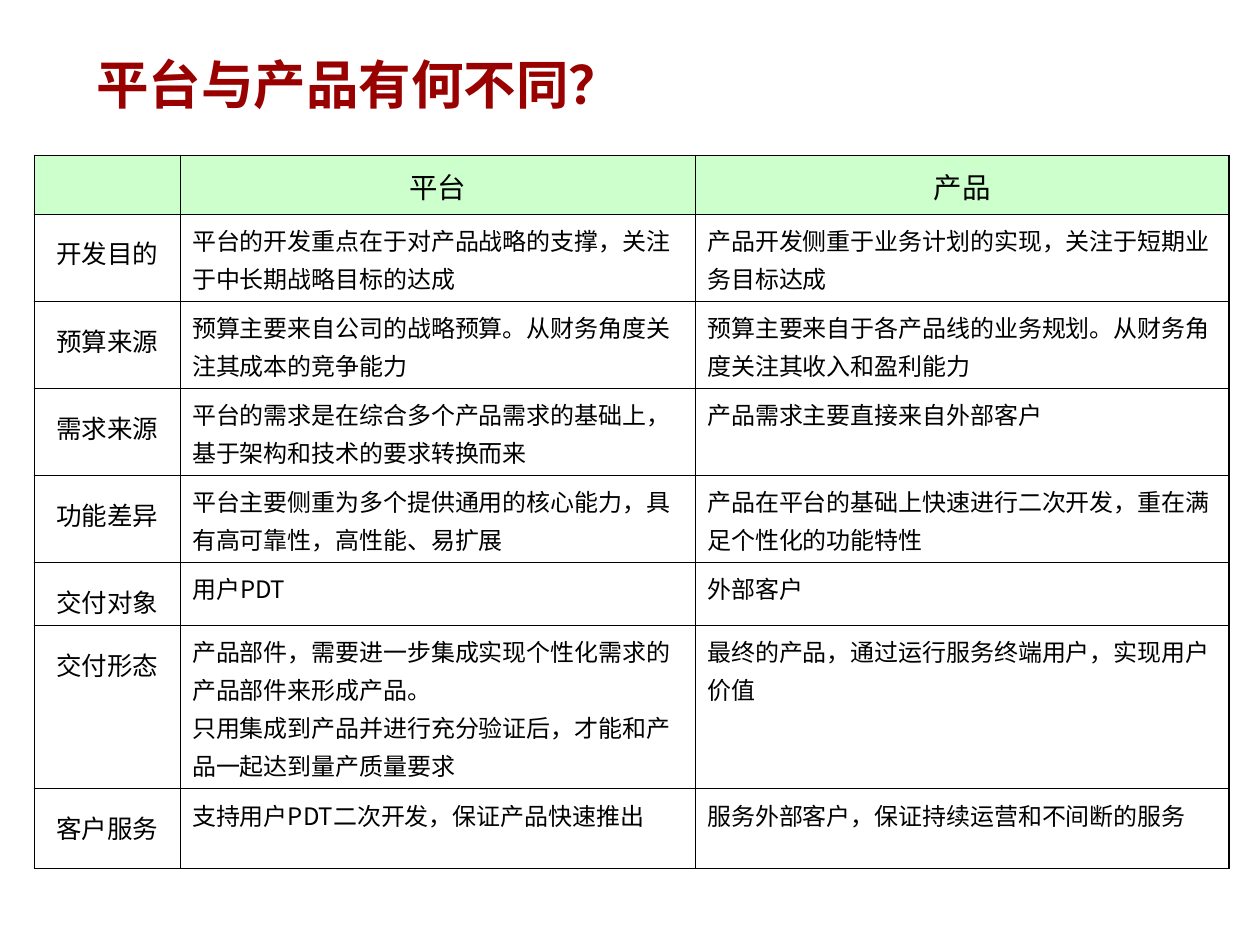
from lxml import etree
from pptx import Presentation
from pptx.dml.color import RGBColor
from pptx.enum.text import MSO_ANCHOR, MSO_AUTO_SIZE, PP_ALIGN
from pptx.oxml.ns import qn
from pptx.util import Cm, Pt

COLORS = {"title": "990000", "header": "CCFFCC", "ink": "000000"}
CJK_FONT = "Noto Sans CJK SC"
THIN, THICK = 0.45, 1.08

COLUMN_WIDTHS = [3.43, 12.12, 12.55]
ROW_HEIGHTS = [1.37, 1.9, 1.88, 1.88, 1.88, 1.37, 3.68, 1.88]
COMPARISON = [
    ("", "平台", "产品"),
    ("开发目的",
     "平台的开发重点在于对产品战略的支撑，关注于中长期战略目标的达成",
     "产品开发侧重于业务计划的实现，关注于短期业务目标达成"),
    ("预算来源",
     "预算主要来自公司的战略预算。从财务角度关注其成本的竞争能力",
     "预算主要来自于各产品线的业务规划。从财务角度关注其收入和盈利能力"),
    ("需求来源",
     "平台的需求是在综合多个产品需求的基础上，基于架构和技术的要求转换而来",
     "产品需求主要直接来自外部客户"),
    ("功能差异",
     "平台主要侧重为多个提供通用的核心能力，具有高可靠性，高性能、易扩展",
     "产品在平台的基础上快速进行二次开发，重在满足个性化的功能特性"),
    ("交付对象", "用户PDT", "外部客户"),
    ("交付形态",
     "产品部件，需要进一步集成实现个性化需求的产品部件来形成产品。\n"
     "只用集成到产品并进行充分验证后，才能和产品一起达到量产质量要求",
     "最终的产品，通过运行服务终端用户，实现用户价值"),
    ("客户服务",
     "支持用户PDT二次开发，保证产品快速推出",
     "服务外部客户，保证持续运营和不间断的服务"),
]


def write_text(frame, text, *, size, font=CJK_FONT, color="ink", bold=False,
               align=PP_ALIGN.LEFT, spacing=1.0):
    frame.text = text
    for paragraph in frame.paragraphs:
        paragraph.alignment = align
        paragraph.line_spacing = spacing
        for run in paragraph.runs:
            run.font.size = Pt(size)
            run.font.bold = bold
            run.font.name = font
            run.font.color.rgb = RGBColor.from_string(COLORS[color])
            east_asian = etree.SubElement(run.font._element, qn("a:ea"))
            east_asian.set("typeface", CJK_FONT)


def set_borders(cell, **widths):
    """Draw the cell edges; widths maps L, R, T and B to points."""
    properties = cell._tc.get_or_add_tcPr()
    for position, side in enumerate("LRTB"):
        line = etree.Element(qn(f"a:ln{side}"), w=str(Pt(widths[side])))
        fill = etree.SubElement(line, qn("a:solidFill"))
        etree.SubElement(fill, qn("a:srgbClr"), val=COLORS["ink"])
        properties.insert(position, line)


def cell_format(row, column):
    if row == 0:
        return {"size": 19, "align": PP_ALIGN.CENTER, "spacing": 1.1}
    if column == 0:
        return {"size": 17, "align": PP_ALIGN.CENTER, "spacing": 1.4}
    return {"size": 16, "spacing": 1.1}


def fill_cell(cell, text, row, column):
    last_row, last_column = len(COMPARISON) - 1, len(COLUMN_WIDTHS) - 1
    cell.margin_left = cell.margin_right = Cm(0.28)
    cell.margin_top = cell.margin_bottom = Cm(0.13)
    cell.vertical_anchor = MSO_ANCHOR.TOP
    write_text(cell.text_frame, text, **cell_format(row, column))
    if row == 0:
        cell.fill.solid()
        cell.fill.fore_color.rgb = RGBColor.from_string(COLORS["header"])
    else:
        cell.fill.background()
    set_borders(
        cell,
        L=THICK if column == 0 else THIN,
        R=THICK if column == last_column else THIN,
        T=THICK if row in (0, last_row) else THIN,
        B=THICK if row >= last_row - 1 else THIN,
    )


def add_title(slide, text):
    title = slide.shapes.title
    title.left, title.top = Cm(2.01), Cm(0)
    title.width, title.height = Cm(26.14), Cm(3.91)
    frame = title.text_frame
    frame.auto_size = MSO_AUTO_SIZE.NONE
    frame.vertical_anchor = MSO_ANCHOR.MIDDLE
    write_text(frame, text, size=35, font="Arial", color="title", bold=True)


def add_comparison(slide):
    table = slide.shapes.add_table(
        len(COMPARISON), len(COLUMN_WIDTHS), Cm(0.81), Cm(3.66),
        Cm(sum(COLUMN_WIDTHS)), Cm(sum(ROW_HEIGHTS))).table
    table.first_row = table.horz_banding = False
    for column, width in zip(table.columns, COLUMN_WIDTHS):
        column.width = Cm(width)
    for row, height in zip(table.rows, ROW_HEIGHTS):
        row.height = Cm(height)
    for row, texts in enumerate(COMPARISON):
        for column, text in enumerate(texts):
            fill_cell(table.cell(row, column), text, row, column)


def main():
    presentation = Presentation()
    presentation.slide_width, presentation.slide_height = Cm(29.64), Cm(22.23)
    slide = presentation.slides.add_slide(presentation.slide_layouts[5])
    add_title(slide, "平台与产品有何不同？")
    add_comparison(slide)
    presentation.save("out.pptx")


if __name__ == "__main__":
    main()
